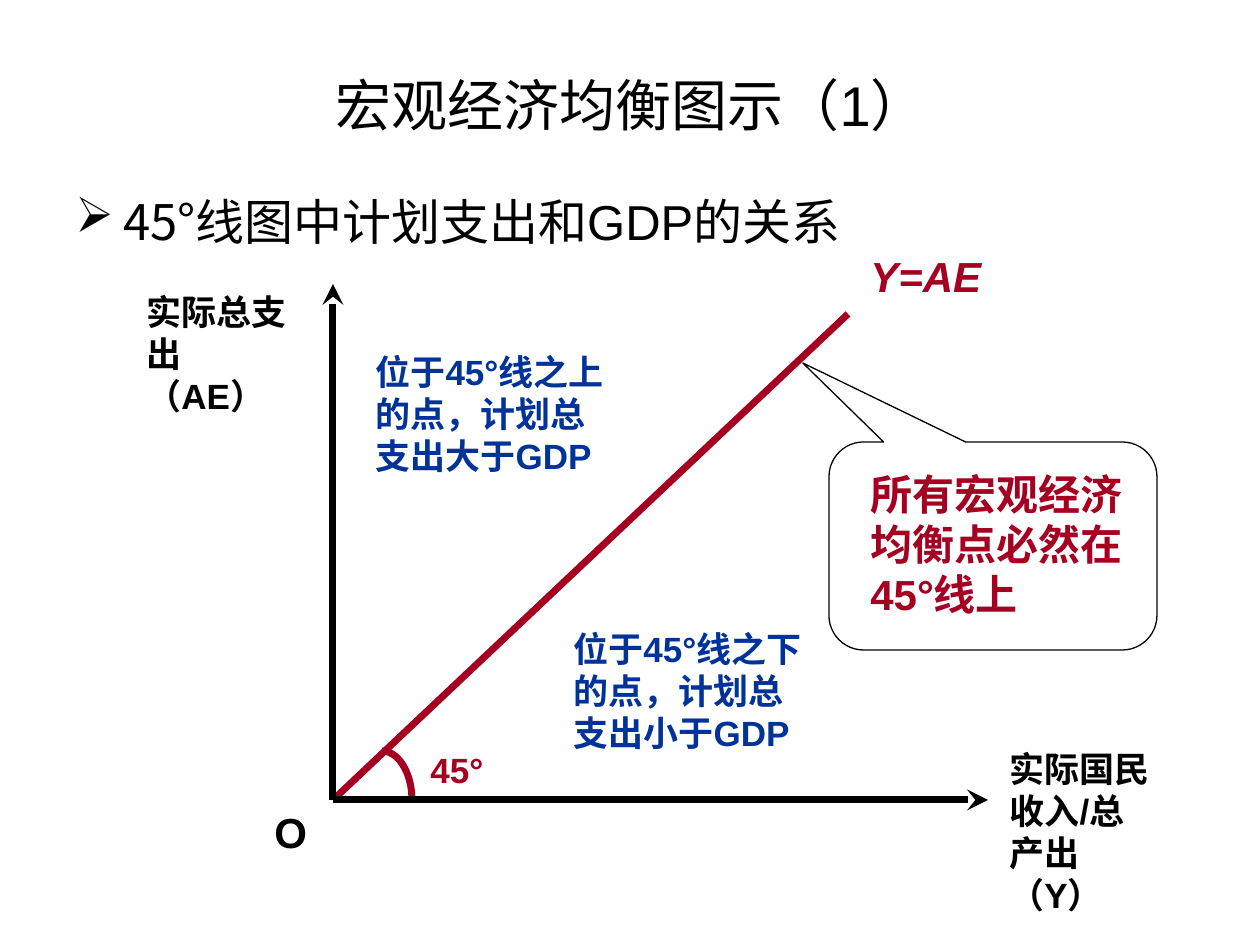
from lxml.etree import SubElement
from pptx import Presentation
from pptx.dml.color import RGBColor
from pptx.enum.shapes import MSO_CONNECTOR, MSO_SHAPE
from pptx.enum.text import MSO_ANCHOR, PP_ALIGN
from pptx.oxml.ns import qn
from pptx.util import Inches, Pt

PX_PER_INCH = 126
LATIN = "Arial"
CJK = "Noto Sans CJK SC"
COLORS = {"black": "000000", "red": "A50021", "blue": "003399"}


def px(length):
    return round(Inches(length) / PX_PER_INCH)


def color(name):
    return RGBColor.from_string(COLORS[name])


def add_run(paragraph, words, size, hue="black", bold=False, italic=False, face=LATIN):
    run = paragraph.add_run()
    run.text = words
    run.font.size = Pt(size)
    run.font.bold = bold
    run.font.italic = italic
    run.font.color.rgb = color(hue)
    run.font.name = face
    SubElement(run.font._element, qn("a:ea"), typeface=CJK)


def add_box(shapes, left, top, width, height):
    box = shapes.add_textbox(px(left), px(top), px(width), px(height))
    box.text_frame.word_wrap = True
    return box.text_frame.paragraphs[0]


def add_label(shapes, place, words, size=20, hue="black", italic=False):
    add_run(add_box(shapes, *place), words, size, hue, bold=True, italic=italic)


def add_line(shapes, start, end, hue, arrow=False):
    line = shapes.add_connector(MSO_CONNECTOR.STRAIGHT, *map(px, start + end))
    line.line.color.rgb = color(hue)
    line.line.width = Pt(4)
    if arrow:
        SubElement(line.line._get_or_add_ln(), qn("a:tailEnd"), type="stealth")
    SubElement(line._element.spPr, qn("a:effectLst"))


def add_outline(shapes, preset, place, hue, weight):
    outline = shapes.add_shape(preset, *map(px, place))
    outline.shadow.inherit = False
    outline.fill.background()
    outline.line.color.rgb = color(hue)
    outline.line.width = Pt(weight)
    return outline


def add_title(slide, words):
    title = slide.shapes.title
    title.left, title.top, title.width, title.height = map(px, (64, 45, 1134, 118))
    title.text_frame.vertical_anchor = MSO_ANCHOR.MIDDLE
    heading = title.text_frame.paragraphs[0]
    heading.alignment = PP_ALIGN.CENTER
    add_run(heading, words, 32)


def add_bullet(shapes, place, parts):
    point = add_box(shapes, *place)
    properties = point._p.get_or_add_pPr()
    properties.set("marL", str(px(48)))
    properties.set("indent", str(px(-48)))
    SubElement(properties, qn("a:buChar"), char="➢")
    for words, face in parts:
        add_run(point, words, 28, face=face)


def add_identity_line(shapes, origin):
    add_line(shapes, origin, (848, 314), "red")
    add_outline(shapes, MSO_SHAPE.ARC, (352, 751, 60, 98), "red", 4)
    add_label(shapes, (418, 742, 112, 55), "45°", hue="red")
    add_label(shapes, (858, 244, 142, 63), "Y=AE", 24, "red", italic=True)


def add_axes(shapes, origin):
    for tip in ((333, 284), (988, 800)):
        add_line(shapes, origin, tip, "black", arrow=True)
    add_label(shapes, (262, 800, 59, 63), "O", 24)
    add_label(shapes, (134, 284, 169, 139), "实际总支出（AE）")
    add_label(shapes, (997, 741, 169, 181), "实际国民收入/总产出（Y）")


def add_callout(shapes):
    bubble = add_outline(
        shapes, MSO_SHAPE.ROUNDED_RECTANGULAR_CALLOUT, (829, 442, 328, 208), "black", 0.75
    )
    bubble.adjustments[0] = -0.58
    bubble.adjustments[1] = -0.88
    add_label(shapes, (858, 462, 297, 164), "所有宏观经济均衡点必然在45°线上", 24, "red")


def main():
    deck = Presentation()
    deck.slide_width, deck.slide_height = Inches(10), Inches(7.5)
    slide = deck.slides.add_slide(deck.slide_layouts[5])
    shapes = slide.shapes
    origin = (333, 800)

    add_title(slide, "宏观经济均衡图示（1）")
    add_bullet(
        shapes,
        (63, 185, 1134, 659),
        [("45°线图中计划支出和", CJK), ("GDP", LATIN), ("的关系", CJK)],
    )
    add_identity_line(shapes.add_group_shape().shapes, origin)
    add_axes(shapes.add_group_shape().shapes, origin)
    for left, top, side, relation in ((363, 344, "上", "大"), (561, 621, "下", "小")):
        add_label(
            shapes,
            (left, top, 265, 181),
            f"位于45°线之{side}的点，计划总支出{relation}于GDP",
            hue="blue",
        )
    add_callout(shapes.add_group_shape().shapes)
    deck.save("out.pptx")


if __name__ == "__main__":
    main()
